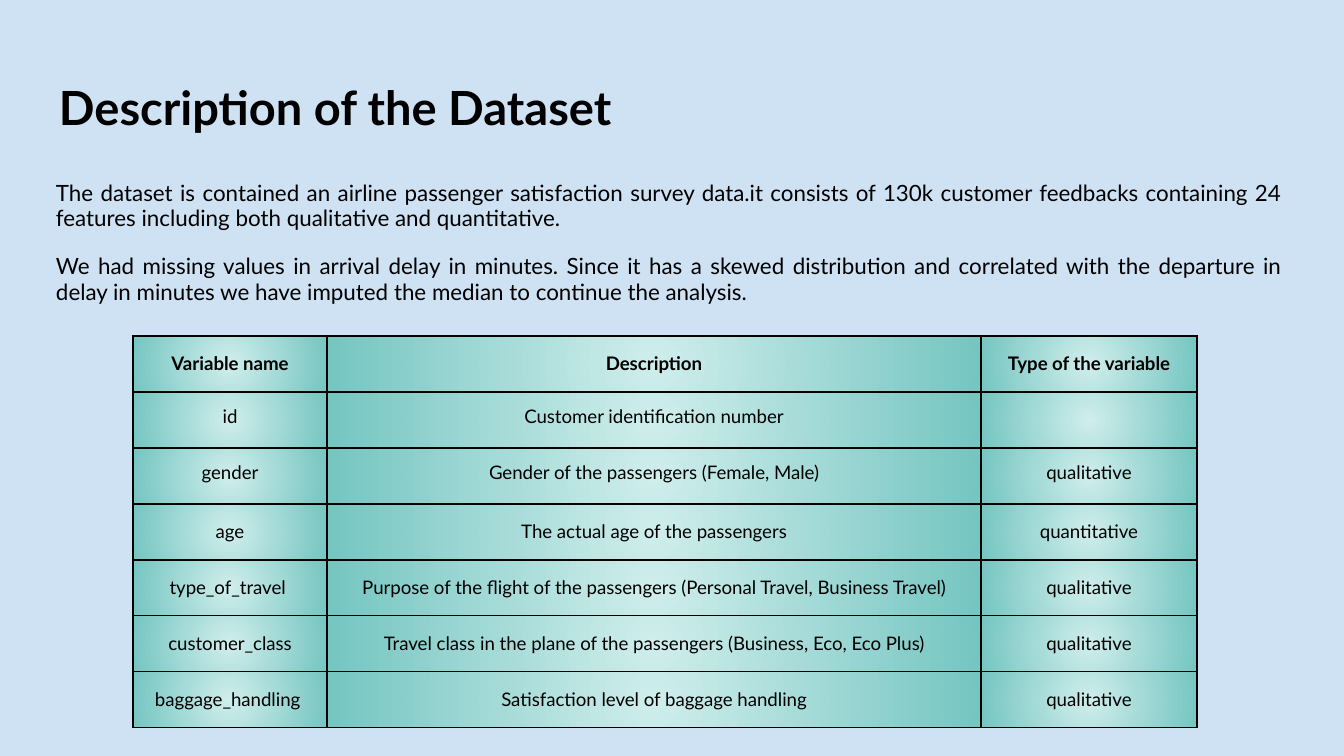
"""Build the dataset description slide with its table of variables."""
from dataclasses import dataclass

import lxml.etree
import pptx
import pptx.dml.color
import pptx.enum.text
import pptx.oxml
import pptx.oxml.ns
import pptx.util

EMU_PER_PX = 6804
FONT = "Lato"
COLORS = {"background": "CFE2F3", "ink": "000000", "glow": "CFEEEC", "edge": "75C5C1"}
ALIGN = pptx.enum.text.PP_ALIGN


@dataclass(frozen=True)
class Box:
    left: int
    top: int
    width: int
    height: int


@dataclass(frozen=True)
class Variable:
    name: str
    description: str
    kind: str
    compact: bool = False
    bold: bool = False


TITLE_BOX = Box(46, 66, 1253, 84)
SUMMARY_BOX = Box(43, 168, 1253, 134)
TABLE_BOX = Box(133, 336, 1064, 392)
COLUMN_WIDTHS = (194, 654, 216)
SUMMARY = (
    "The dataset is contained an airline passenger satisfaction survey data.it consists of "
    "130k customer feedbacks containing 24 features including both qualitative and quantitative. ",
    "We had missing values in arrival delay in minutes. Since it has a skewed distribution and "
    "correlated with the departure in delay in minutes we have imputed the median to continue "
    "the analysis.",
)
VARIABLES = (
    Variable("Variable name", "Description", "Type of the variable", bold=True),
    Variable("id", "Customer identification number", "", compact=True),
    Variable("gender", "Gender of the passengers (Female, Male)", "qualitative", compact=True),
    Variable("age", "The actual age of the passengers", "quantitative"),
    Variable("type_of_travel ",
             "Purpose of the flight of the passengers (Personal Travel, Business Travel)",
             "qualitative"),
    Variable("customer_class",
             "Travel class in the plane of the passengers (Business, Eco, Eco Plus)",
             "qualitative"),
    Variable("baggage_handling ", "Satisfaction level of baggage handling", "qualitative"),
)


def px(length: int) -> int:
    """Turn pixels into EMU."""
    return pptx.util.Emu(length * EMU_PER_PX)


def place(box: Box) -> tuple:
    """Give the left, top, width and height of a box in EMU."""
    return px(box.left), px(box.top), px(box.width), px(box.height)


def write(frame, *texts: str, size: float, bold: bool = False, align=ALIGN.LEFT,
          line: float = 1.0, before: int = 0) -> None:
    """Write each text as one formatted paragraph."""
    for index, text in enumerate(texts):
        paragraph = frame.add_paragraph() if index else frame.paragraphs[0]
        paragraph.alignment = align
        paragraph.line_spacing = line
        paragraph.space_before = pptx.util.Pt(before)
        if not text:
            ending = lxml.etree.SubElement(paragraph._p, pptx.oxml.ns.qn("a:endParaRPr"))
            ending.set("sz", str(round(size * 100)))
            continue
        run = paragraph.add_run()
        run.text = text
        run.font.name = FONT
        run.font.size = pptx.util.Pt(size)
        run.font.bold = bold
        run.font.color.rgb = pptx.dml.color.RGBColor.from_string(COLORS["ink"])


def add_text(slide, box: Box, *texts: str, **style) -> None:
    """Add a wrapping text box."""
    frame = slide.shapes.add_textbox(*place(box)).text_frame
    frame.word_wrap = True
    frame.margin_left = frame.margin_right = px(13)
    frame.margin_top = frame.margin_bottom = px(13)
    write(frame, *texts, **style)


def paint_cell(cell) -> None:
    """Give a cell thin borders and a radial gradient."""
    namespace = pptx.oxml.ns.nsdecls("a")
    properties = cell._tc.get_or_add_tcPr()
    for side in ("lnL", "lnR", "lnT", "lnB"):
        properties.append(pptx.oxml.parse_xml(
            f'<a:{side} {namespace} w="{pptx.util.Pt(0.75)}"><a:solidFill>'
            f'<a:srgbClr val="{COLORS["ink"]}"/></a:solidFill></a:{side}>'))
    properties.append(pptx.oxml.parse_xml(
        f'<a:gradFill {namespace}><a:gsLst>'
        f'<a:gs pos="0"><a:srgbClr val="{COLORS["glow"]}"/></a:gs>'
        f'<a:gs pos="100000"><a:srgbClr val="{COLORS["edge"]}"/></a:gs></a:gsLst>'
        '<a:path path="circle"><a:fillToRect l="50000" t="50000" r="50000" b="50000"/>'
        '</a:path></a:gradFill>'))


def add_variables(slide) -> None:
    """Add the table with one row for each variable."""
    table = slide.shapes.add_table(len(VARIABLES), len(COLUMN_WIDTHS), *place(TABLE_BOX)).table
    table.first_row = table.horz_banding = False
    for column, width in zip(table.columns, COLUMN_WIDTHS):
        column.width = px(width)
    for row, variable in zip(table.rows, VARIABLES):
        row.height = px(TABLE_BOX.height // len(VARIABLES))
        for cell, text in zip(row.cells, (variable.name, variable.description, variable.kind)):
            cell.margin_left = cell.margin_right = px(13 if variable.compact else 10)
            cell.margin_top = cell.margin_bottom = px(13)
            paint_cell(cell)
            write(cell.text_frame, text, size=10, bold=variable.bold, align=ALIGN.CENTER,
                  line=1.0 if variable.compact else 1.15, before=0 if variable.compact else 12)


def main() -> None:
    """Build and save the slide."""
    deck = pptx.Presentation()
    deck.slide_width, deck.slide_height = px(1344), px(756)
    slide = deck.slides.add_slide(deck.slide_layouts[6])
    backdrop = slide.background.fill
    backdrop.solid()
    backdrop.fore_color.rgb = pptx.dml.color.RGBColor.from_string(COLORS["background"])
    add_text(slide, SUMMARY_BOX, *SUMMARY, size=12, align=ALIGN.JUSTIFY, line=0.95, before=12)
    add_variables(slide)
    add_text(slide, TITLE_BOX, "Description of the Dataset", size=25.2, bold=True)
    deck.save("out.pptx")


if __name__ == "__main__":
    main()
